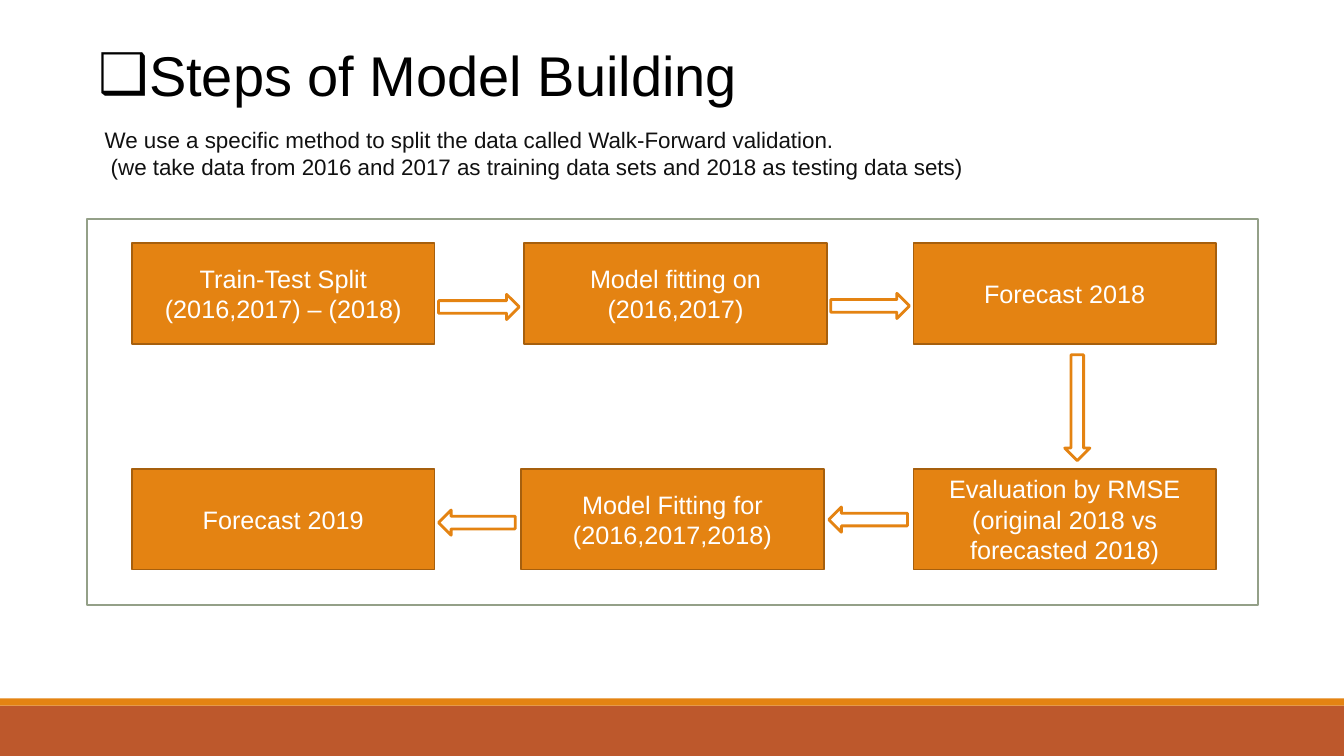
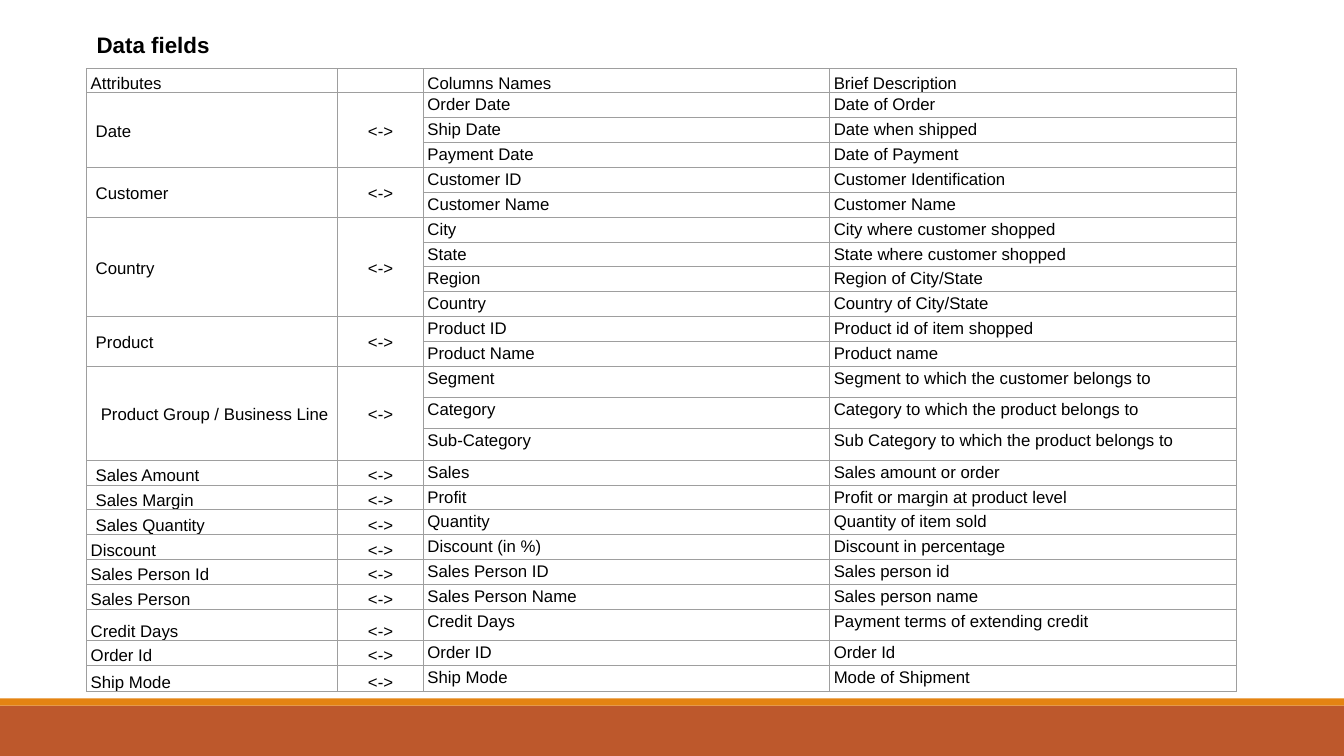
from dataclasses import dataclass
from typing import Any

from lxml.etree import SubElement
from pptx import Presentation
from pptx.dml.color import RGBColor
from pptx.enum.shapes import MSO_SHAPE
from pptx.enum.text import MSO_ANCHOR, PP_ALIGN
from pptx.oxml.ns import qn
from pptx.presentation import Presentation as Deck
from pptx.slide import Slide
from pptx.table import _Cell as Cell
from pptx.text.text import TextFrame
from pptx.util import Inches, Pt

FONT = "Arial"
WHITE = RGBColor(0xFF, 0xFF, 0xFF)
BLACK = RGBColor(0x00, 0x00, 0x00)
INK = RGBColor(0x11, 0x11, 0x11)
ORANGE = RGBColor(0xE4, 0x83, 0x12)
DARK_ORANGE = RGBColor(0xA6, 0x5F, 0x0D)
RUST = RGBColor(0xBD, 0x58, 0x2C)
SAGE = RGBColor(0x94, 0xA0, 0x88)
GRID = RGBColor(0x9E, 0x9E, 0x9E)

SLIDE_WIDTH, SLIDE_HEIGHT = 13.33, 7.5
STEP_WIDTH, STEP_HEIGHT = 3, 1
TOP_ROW, BOTTOM_ROW = 2.41, 4.65
ARROW_BREADTH = 0.25

TABLE_HEIGHT = 6.19
COLUMN_WIDTHS = (2.49, 0.85, 4.03, 4.03)
HEADINGS = ("Attributes", "", "Columns Names", "Brief Description")
HEADING_HEIGHT, TALL_HEIGHT, LAST_HEIGHT = 0.24, 0.31, 0.26
CELL_MARGIN = 0.04
ATTRIBUTE_INDENT = 0.05
LINK = "<->"


@dataclass(frozen=True)
class Box:
    left: float
    top: float
    width: float
    height: float

    def lengths(self) -> tuple[int, int, int, int]:
        return (Inches(self.left), Inches(self.top),
                Inches(self.width), Inches(self.height))


@dataclass(frozen=True)
class Step:
    left: float
    top: float
    lines: tuple[str, ...]


@dataclass(frozen=True)
class Arrow:
    preset: MSO_SHAPE
    box: Box


@dataclass(frozen=True)
class Field:
    column: str
    description: str


@dataclass(frozen=True)
class Attribute:
    label: str
    fields: tuple[Field, ...]
    indented: bool = False
    tall: bool = False
    align: PP_ALIGN = PP_ALIGN.LEFT


BANDS = (
    (Box(0, 7, SLIDE_WIDTH, 0.5), RUST),
    (Box(0, 6.93, SLIDE_WIDTH, 0.07), ORANGE),
)

STEPS = (
    Step(1.31, TOP_ROW, ("Train-Test Split (2016,2017) – (2018)",)),
    Step(5.2, TOP_ROW, ("Model fitting on (2016,2017)",)),
    Step(9.06, TOP_ROW, ("Forecast 2018",)),
    Step(9.06, BOTTOM_ROW,
         ("Evaluation by RMSE", "(original 2018 vs forecasted 2018)")),
    Step(5.17, BOTTOM_ROW, ("Model Fitting for (2016,2017,2018)",)),
    Step(1.31, BOTTOM_ROW, ("Forecast 2019",)),
)

ARROWS = (
    Arrow(MSO_SHAPE.RIGHT_ARROW, Box(4.35, 2.92, 0.8, ARROW_BREADTH)),
    Arrow(MSO_SHAPE.RIGHT_ARROW, Box(8.24, 2.91, 0.78, ARROW_BREADTH)),
    Arrow(MSO_SHAPE.DOWN_ARROW, Box(10.56, 3.52, ARROW_BREADTH, 1.05)),
    Arrow(MSO_SHAPE.LEFT_ARROW, Box(8.22, 5.03, 0.78, ARROW_BREADTH)),
    Arrow(MSO_SHAPE.LEFT_ARROW, Box(4.35, 5.06, 0.76, ARROW_BREADTH)),
)

ATTRIBUTES = (
    Attribute("Date", (
        Field("Order Date", "Date of Order"),
        Field("Ship Date", "Date when shipped"),
        Field("Payment Date", "Date of Payment"),
    ), indented=True),
    Attribute("Customer", (
        Field("Customer ID", "Customer Identification"),
        Field("Customer Name", "Customer Name"),
    ), indented=True),
    Attribute("Country", (
        Field("City", "City where customer shopped"),
        Field("State", "State where customer shopped"),
        Field("Region", "Region of City/State"),
        Field("Country", "Country of City/State"),
    ), indented=True),
    Attribute("Product", (
        Field("Product ID", "Product id of item shopped"),
        Field("Product Name", "Product name"),
    ), indented=True),
    Attribute("Product Group / Business Line", (
        Field("Segment", "Segment to which the customer belongs to"),
        Field("Category", "Category to which the product belongs to"),
        Field("Sub-Category", "Sub Category to which the product belongs to"),
    ), indented=True, tall=True, align=PP_ALIGN.CENTER),
    Attribute("Sales Amount", (Field("Sales", "Sales amount or order"),),
              indented=True),
    Attribute("Sales Margin",
              (Field("Profit", "Profit or margin at product level"),),
              indented=True),
    Attribute("Sales Quantity", (Field("Quantity", "Quantity of item sold"),),
              indented=True),
    Attribute("Discount", (Field("Discount (in %)", "Discount in percentage"),)),
    Attribute("Sales Person Id", (Field("Sales Person ID", "Sales person id"),)),
    Attribute("Sales Person",
              (Field("Sales Person Name", "Sales person name"),)),
    Attribute("Credit Days",
              (Field("Credit Days", "Payment terms of extending credit"),),
              tall=True),
    Attribute("Order Id", (Field("Order ID", "Order Id"),)),
    Attribute("Ship Mode", (Field("Ship Mode", "Mode of Shipment"),)),
)


def apply(target: Any, formats: dict[str, Any]) -> None:
    for name, value in formats.items():
        setattr(target, name, value)


def write(frame: TextFrame, lines: tuple[str, ...], size: float,
          color: RGBColor, bold: bool = False, **paragraph_formats: Any) -> None:
    for index, line in enumerate(lines):
        paragraph = frame.add_paragraph() if index else frame.paragraphs[0]
        apply(paragraph, paragraph_formats)
        if not line:
            SubElement(paragraph._p, qn("a:endParaRPr"), sz=str(int(size * 100)))
            continue
        run = paragraph.add_run()
        run.text = line
        apply(run.font, {"name": FONT, "size": Pt(size), "bold": bold})
        run.font.color.rgb = color


def add_block(slide: Slide, preset: MSO_SHAPE, box: Box, fill: RGBColor,
              line: RGBColor | None = None, line_width: float = 1.25) -> TextFrame:
    block = slide.shapes.add_shape(preset, *box.lengths())
    block.shadow.inherit = False
    block.fill.solid()
    block.fill.fore_color.rgb = fill
    if line is None:
        block.line.fill.background()
    else:
        block.line.color.rgb = line
        block.line.width = Pt(line_width)
    return block.text_frame


def add_text(slide: Slide, box: Box, lines: tuple[str, ...], size: float,
             color: RGBColor, bold: bool = False) -> TextFrame:
    frame = slide.shapes.add_textbox(*box.lengths()).text_frame
    frame.word_wrap = True
    write(frame, lines, size, color, bold)
    return frame


def indent(frame: TextFrame, index: int, left: float, first: float = 0) -> Any:
    properties = frame.paragraphs[index]._p.get_or_add_pPr()
    properties.set("marL", str(Inches(left)))
    properties.set("indent", str(Inches(first)))
    return properties


def add_banded_slide(deck: Deck) -> Slide:
    slide = deck.slides.add_slide(deck.slide_layouts[6])
    for box, color in BANDS:
        add_block(slide, MSO_SHAPE.RECTANGLE, box, color)
    return slide


def build_steps(deck: Deck) -> None:
    slide = add_banded_slide(deck)
    add_block(slide, MSO_SHAPE.RECTANGLE, Box(0.86, 2.17, 11.62, 3.83),
              WHITE, SAGE)
    for step in STEPS:
        frame = add_block(slide, MSO_SHAPE.RECTANGLE,
                          Box(step.left, step.top, STEP_WIDTH, STEP_HEIGHT),
                          ORANGE, DARK_ORANGE)
        apply(frame, {"word_wrap": True, "vertical_anchor": MSO_ANCHOR.MIDDLE})
        write(frame, step.lines, 18, WHITE, alignment=PP_ALIGN.CENTER)

    title = add_text(slide, Box(0.88, 0.35, 8.02, 0.77),
                     ("Steps of Model Building",), 40, BLACK)
    bullet = indent(title, 0, 0.5, -0.5)
    SubElement(bullet, qn("a:buFont"), typeface=FONT)
    SubElement(bullet, qn("a:buChar"), char="❑")

    method = add_text(slide, Box(0.94, 1.2, 11.46, 0.64), (
        "We use a specific method to split the data called "
        "Walk-Forward validation.",
        "(we take data from 2016 and 2017 as training data sets "
        "and 2018 as testing data sets)",
    ), 16, INK)
    indent(method, 1, 0.06)

    for arrow in ARROWS:
        add_block(slide, arrow.preset, arrow.box, WHITE, ORANGE, 2)


def add_borders(cell: Cell) -> None:
    properties = cell._tc.get_or_add_tcPr()
    for side in ("lnL", "lnR", "lnT", "lnB"):
        border = SubElement(properties, qn(f"a:{side}"), w=str(Pt(0.75)))
        paint = SubElement(border, qn("a:solidFill"))
        SubElement(paint, qn("a:srgbClr"), val=str(GRID))


def fill_cell(cell: Cell, text: str, anchor: MSO_ANCHOR,
              align: PP_ALIGN = PP_ALIGN.LEFT, inset: float = 0) -> None:
    add_borders(cell)
    cell.fill.solid()
    cell.fill.fore_color.rgb = WHITE
    apply(cell, {
        "margin_left": Inches(CELL_MARGIN + inset),
        "margin_right": Inches(CELL_MARGIN),
        "margin_top": 0,
        "margin_bottom": 0,
        "vertical_anchor": anchor,
    })
    write(cell.text_frame, (text,), 12, BLACK, alignment=align, line_spacing=1.15)


def row_heights() -> list[float]:
    tall_rows = [item.tall for item in ATTRIBUTES for _ in item.fields]
    regular_count = tall_rows.count(False) - 1
    fixed = HEADING_HEIGHT + TALL_HEIGHT * tall_rows.count(True) + LAST_HEIGHT
    regular = (TABLE_HEIGHT - fixed) / regular_count
    body = [TALL_HEIGHT if tall else regular for tall in tall_rows[:-1]]
    return [HEADING_HEIGHT, *body, LAST_HEIGHT]


def build_fields(deck: Deck) -> None:
    slide = add_banded_slide(deck)
    heights = row_heights()
    box = Box(0.86, 0.68, sum(COLUMN_WIDTHS), TABLE_HEIGHT)
    table = slide.shapes.add_table(
        len(heights), len(COLUMN_WIDTHS), *box.lengths()).table
    apply(table, {"first_row": False, "horz_banding": False})
    for column, width in zip(table.columns, COLUMN_WIDTHS):
        column.width = Inches(width)
    for row, height in zip(table.rows, heights):
        row.height = Inches(height)

    for column, heading in enumerate(HEADINGS):
        fill_cell(table.cell(0, column), heading, MSO_ANCHOR.BOTTOM)
    top = 1
    for item in ATTRIBUTES:
        count = len(item.fields)
        anchor = MSO_ANCHOR.MIDDLE if count > 1 else MSO_ANCHOR.BOTTOM
        inset = ATTRIBUTE_INDENT if item.indented else 0
        for offset, field in enumerate(item.fields):
            row = top + offset
            label, link = ("", "") if offset else (item.label, LINK)
            fill_cell(table.cell(row, 0), label, anchor, item.align, inset)
            fill_cell(table.cell(row, 1), link, anchor, PP_ALIGN.CENTER)
            fill_cell(table.cell(row, 2), field.column, MSO_ANCHOR.TOP)
            fill_cell(table.cell(row, 3), field.description, MSO_ANCHOR.TOP)
        if count > 1:
            for column in (0, 1):
                table.cell(top, column).merge(table.cell(top + count - 1, column))
        top += count

    add_text(slide, Box(0.86, 0.26, 6.67, 0.37), ("Data fields",), 16, BLACK, True)


def main() -> None:
    deck = Presentation()
    apply(deck, {"slide_width": Inches(SLIDE_WIDTH),
                 "slide_height": Inches(SLIDE_HEIGHT)})
    build_steps(deck)
    build_fields(deck)
    deck.save("out.pptx")


if __name__ == "__main__":
    main()
